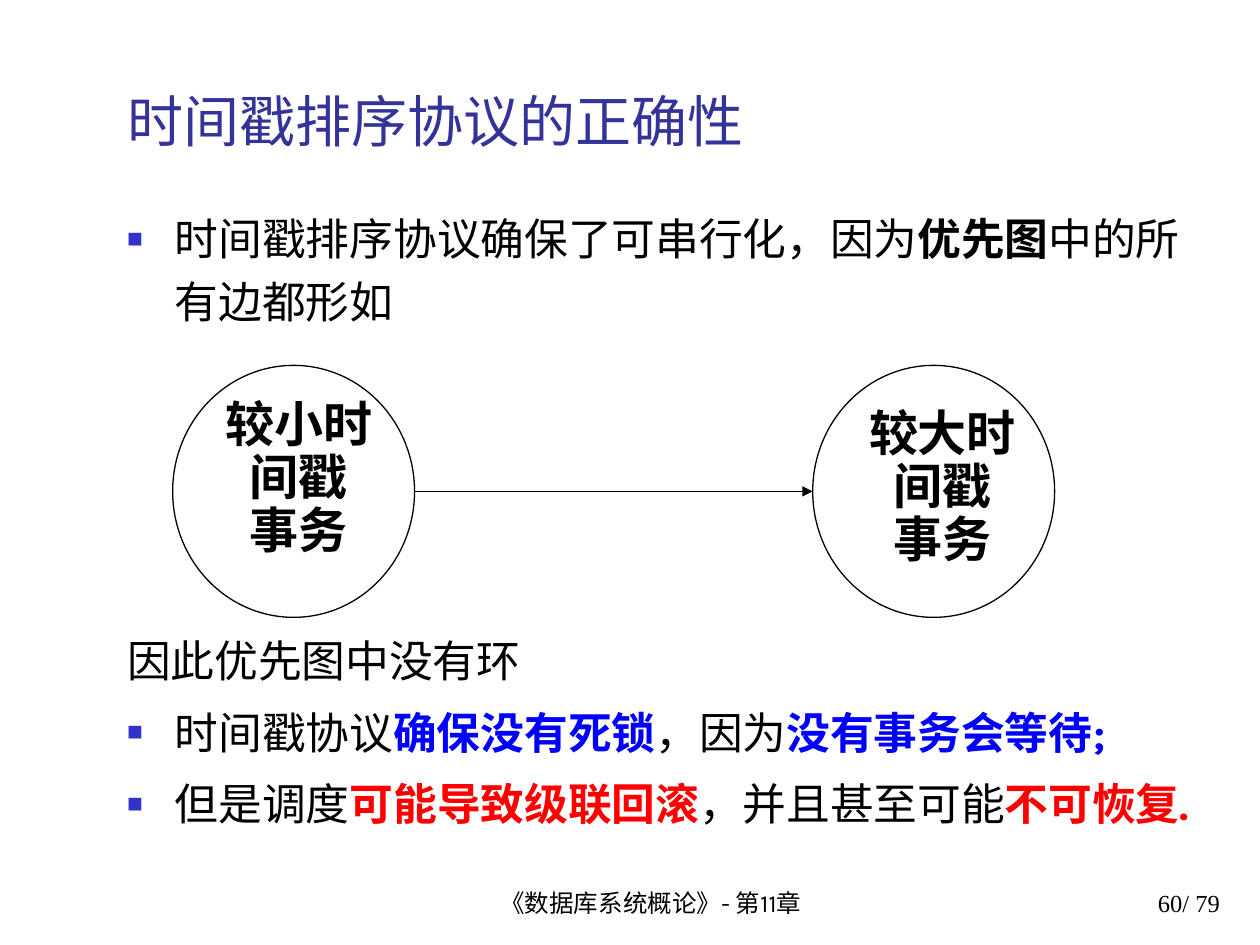
from dataclasses import dataclass

from lxml import etree
from pptx import Presentation
from pptx import util as u
from pptx.dml.color import RGBColor
from pptx.enum import shapes, text
from pptx.oxml import ns

PX = 9144  # 100 px to the inch
BLACK = RGBColor(0, 0, 0)
TITLE_BLUE = RGBColor(0x33, 0x33, 0x99)
BULLET_BLUE = RGBColor(0x33, 0x33, 0xCC)
BLUE = RGBColor(0, 0, 0xFF)
RED = RGBColor(0xFF, 0, 0)
INDENT = 38

ALIGN = text.PP_ALIGN
ANCHOR = text.MSO_ANCHOR


@dataclass
class Style:
    size: int
    font: str = "Karla"
    color: RGBColor = BLACK
    bold: bool = False


@dataclass
class Run:
    text: str
    color: RGBColor = BLACK
    bold: bool = False


@dataclass
class Point:
    runs: list[Run]
    space_before: int = 5
    bullet: bool = True


@dataclass
class Node:
    left: int
    label_left: int
    label_top: int
    lines: str


@dataclass
class Footer:
    left: int
    width: int
    text: str
    font: str
    align: ALIGN


POINTS = [
    Point([Run("时间戳排序协议确保了可串行化，因为"), Run("优先图", bold=True),
           Run("中的所有边都形如")], space_before=0),
    Point([Run("因此优先图中没有环")], space_before=169, bullet=False),
    Point([Run("时间戳协议"), Run("确保没有死锁", BLUE, True),
           Run("，因为"), Run("没有事务会等待;", BLUE, True)]),
    Point([Run("但是调度"), Run("可能导致级联回滚", RED, True),
           Run("，并且甚至可能"), Run("不可恢复.", RED, True)]),
]
NODE_TOP, NODE_W, NODE_H = 290, 192, 200
NODES = [
    Node(137, 162, 313, "较小时间戳\n事务"),
    Node(645, 673, 320, "较大时间戳\n事务"),
]
FOOTERS = [
    Footer(358, 317, "《数据库系统概论》- 第11章", "Karla", ALIGN.CENTER),
    Footer(770, 208, "60/ 79", "Times New Roman", ALIGN.RIGHT),
]


def box(*lengths: int) -> list[int]:
    return [n * PX for n in lengths]


def style_run(r, style: Style) -> None:
    r.font.size = u.Pt(style.size)
    r.font.name = style.font
    r.font.color.rgb = style.color
    r.font.bold = style.bold


def fill_frame(tf, content: str, style: Style, align: ALIGN,
               anchor: ANCHOR, spacing: float = 1.0) -> None:
    tf.word_wrap = True
    tf.vertical_anchor = anchor
    tf.text = content
    for p in tf.paragraphs:
        p.alignment = align
        p.line_spacing = spacing
        for r in p.runs:
            style_run(r, style)


def add_bullet(p) -> None:
    """Give the paragraph a small square bullet with a hanging indent."""
    pPr = p._p.get_or_add_pPr()
    pPr.set("marL", str(INDENT * PX))
    pPr.set("indent", str(-INDENT * PX))
    color = etree.SubElement(pPr, ns.qn("a:buClr"))
    etree.SubElement(color, ns.qn("a:srgbClr"), val=str(BULLET_BLUE))
    etree.SubElement(pPr, ns.qn("a:buSzPct"), val="60000")
    etree.SubElement(pPr, ns.qn("a:buFont"), typeface="Arial")
    etree.SubElement(pPr, ns.qn("a:buChar"), char="■")


def add_points(s, points: list[Point]) -> None:
    tf = s.shapes.add_textbox(*box(91, 155, 862, 520)).text_frame
    tf.word_wrap = True
    for i, point in enumerate(points):
        p = tf.add_paragraph() if i else tf.paragraphs[0]
        if point.bullet:
            add_bullet(p)
        p.line_spacing = 1.2
        p.space_before = u.Pt(point.space_before)
        for run in point.runs:
            r = p.add_run()
            r.text = run.text
            style_run(r, Style(25, color=run.color, bold=run.bold))


def add_node(s, node: Node) -> None:
    sp = s.shapes.add_shape(shapes.MSO_SHAPE.OVAL,
                            *box(node.left, NODE_TOP, NODE_W, NODE_H))
    sp.shadow.inherit = False
    sp.fill.background()
    sp.line.color.rgb = BLACK
    sp.line.width = u.Pt(0.75)
    label = s.shapes.add_textbox(*box(node.label_left, node.label_top, 150, 150))
    fill_frame(label.text_frame, node.lines, Style(28, "Arial", bold=True),
               ALIGN.CENTER, ANCHOR.TOP, 0.9)


def add_arrow(s, start: Node, end: Node) -> None:
    y = NODE_TOP + NODE_H // 2
    cx = s.shapes.add_connector(shapes.MSO_CONNECTOR.STRAIGHT,
                                *box(start.left + NODE_W, y, end.left, y))
    cx.line.color.rgb = BLACK
    cx.line.width = u.Pt(0.75)
    etree.SubElement(cx.line._get_or_add_ln(), ns.qn("a:tailEnd"), type="triangle")
    etree.SubElement(cx._element.spPr, ns.qn("a:effectLst"))


def main() -> None:
    prs = Presentation()
    prs.slide_width, prs.slide_height = box(1000, 750)
    s = prs.slides.add_slide(prs.slide_layouts[5])

    title = s.shapes.title
    title.left, title.top, title.width, title.height = box(91, 60, 942, 67)
    fill_frame(title.text_frame, "时间戳排序协议的正确性",
               Style(32, color=TITLE_BLUE), ALIGN.LEFT, ANCHOR.BOTTOM)

    add_points(s, POINTS)
    for node in NODES:
        add_node(s, node)
    add_arrow(s, *NODES)
    for footer in FOOTERS:
        sp = s.shapes.add_textbox(*box(footer.left, 683, footer.width, 50))
        fill_frame(sp.text_frame, footer.text, Style(14, footer.font),
                   footer.align, ANCHOR.BOTTOM)

    prs.save("out.pptx")


if __name__ == "__main__":
    main()
